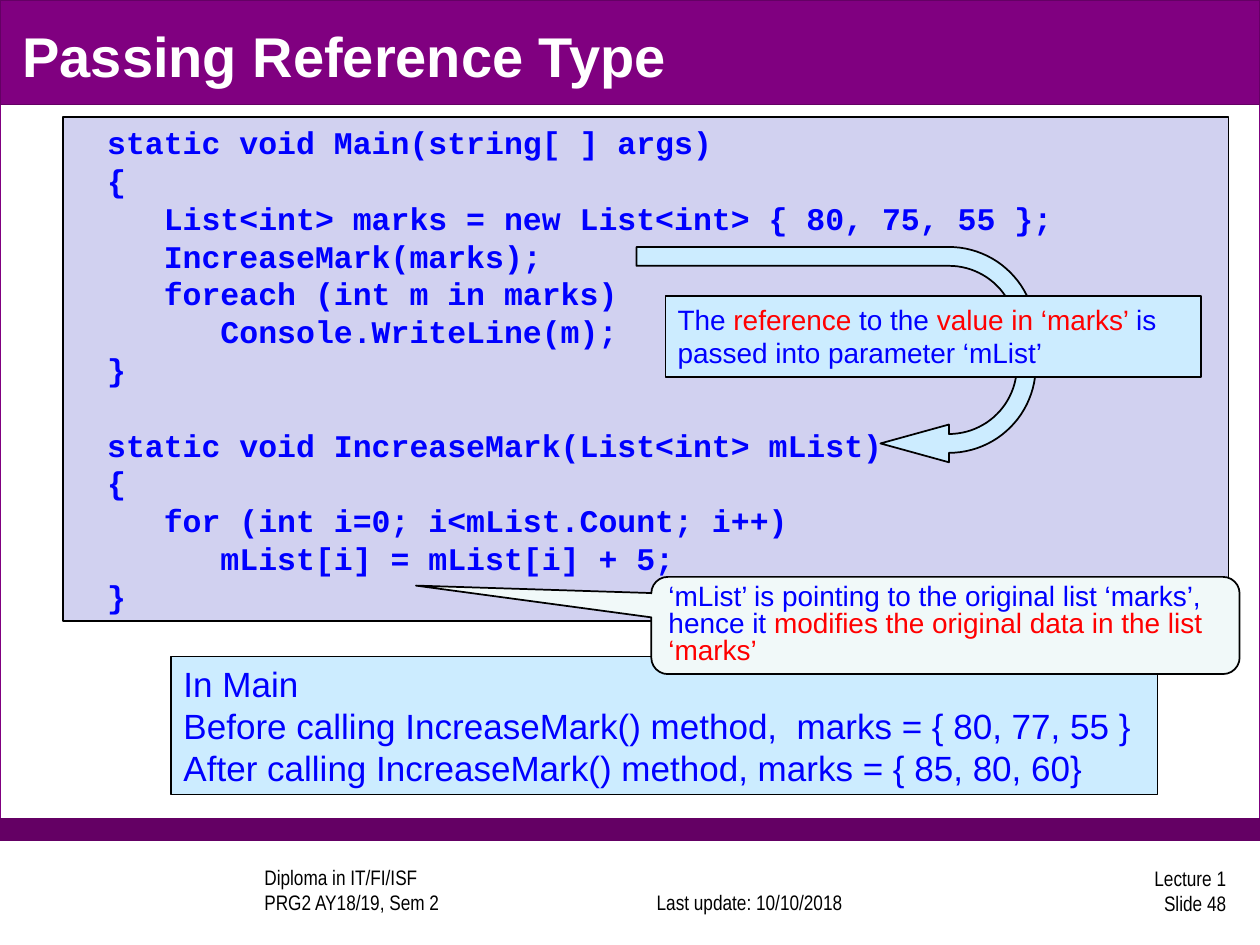
from math import cos, radians, sin

from pptx import Presentation
from pptx.dml.color import RGBColor
from pptx.enum.shapes import MSO_SHAPE
from pptx.enum.text import MSO_ANCHOR, MSO_AUTO_SIZE, PP_ALIGN
from pptx.util import Cm, Pt

WHITE = RGBColor(0xFF, 0xFF, 0xFF)
BLACK = RGBColor(0, 0, 0)
BLUE = RGBColor(0, 0, 0xFF)
RED = RGBColor(0xFF, 0, 0)
PURPLE = RGBColor(0x80, 0, 0x80)
DARK_PURPLE = RGBColor(0x64, 0, 0x64)
LAVENDER = RGBColor(0xD1, 0xD1, 0xF0)
SKY = RGBColor(0xCC, 0xEC, 0xFF)
MINT = RGBColor(0xF1, 0xF9, 0xF9)

CODE = {"name": "Courier New", "size": Pt(18), "bold": True}
RESULT = {"name": "Arial", "size": Pt(20), "bold": False}
NOTE = {"name": "Arial", "size": Pt(16), "bold": False}
FOOTER = {"name": "Arial Narrow", "size": Pt(12), "bold": False}
TITLE = {"name": "Arial", "size": Pt(32), "bold": True}

MAIN_METHOD = """static void Main(string[ ] args)
{
   List<int> marks = new List<int> { 80, 75, 55 };
   IncreaseMark(marks);
   foreach (int m in marks)
      Console.WriteLine(m);
}"""
INCREASE_METHOD = """static void IncreaseMark(List<int> mList)
{
   for (int i=0; i<mList.Count; i++)
      mList[i] = mList[i] + 5;
}"""


def plain(text, color):
    return [[(line, color)] for line in text.splitlines()]


def arc(center_x, center_y, radius, start, end, steps=24):
    angles = [radians(start + (end - start) * i / steps) for i in range(steps + 1)]
    return [(center_x + radius * cos(a), center_y + radius * sin(a)) for a in angles]


class LectureSlide:
    def __init__(self, slide):
        self.slide = slide
        self.line_ratio = 1.2

    def paint(self, shape, fill, outline, width):
        shape.shadow.inherit = False
        shape.fill.solid()
        shape.fill.fore_color.rgb = fill
        shape.line.color.rgb = outline
        shape.line.width = Pt(width)

    def add_text(self, shape, paragraphs, font, ratio=None, align=PP_ALIGN.LEFT, **frame_format):
        frame = shape.text_frame
        settings = {
            "word_wrap": True,
            "auto_size": MSO_AUTO_SIZE.NONE,
            "vertical_anchor": MSO_ANCHOR.TOP,
            **frame_format,
        }
        for name, value in settings.items():
            setattr(frame, name, value)
        spacing = Pt(round(font["size"].pt * (ratio or self.line_ratio), 1))
        for index, runs in enumerate(paragraphs):
            paragraph = frame.add_paragraph() if index else frame.paragraphs[0]
            layout = {"alignment": align, "line_spacing": spacing, "space_before": Pt(0)}
            for name, value in layout.items():
                setattr(paragraph, name, value)
            for text, color in runs:
                run = paragraph.add_run()
                run.text = text
                for name, value in font.items():
                    setattr(run.font, name, value)
                run.font.color.rgb = color
        return frame

    def box(self, place, fill, outline=BLACK, width=0.75, preset=MSO_SHAPE.RECTANGLE):
        shape = self.slide.shapes.add_shape(preset, *map(Cm, place))
        self.paint(shape, fill, outline, width)
        return shape

    def title(self, place, text):
        heading = self.slide.shapes.title
        heading.left, heading.top, heading.width, heading.height = map(Cm, place)
        self.slide.shapes._spTree.append(heading._element)
        self.add_text(heading, plain(text, WHITE), TITLE, vertical_anchor=MSO_ANCHOR.MIDDLE)

    def footer(self, place, text, align, anchor, indent=0.25):
        label = self.slide.shapes.add_textbox(*map(Cm, place))
        self.add_text(label, plain(text, BLACK), FOOTER, align=align,
                      vertical_anchor=anchor, margin_left=Cm(indent))

    def callout(self, place, paragraphs):
        bubble = self.box(place, MINT, width=1, preset=MSO_SHAPE.ROUNDED_RECTANGULAR_CALLOUT)
        for index, value in enumerate((-0.9, -0.41, 0.17)):
            bubble.adjustments[index] = value
        self.add_text(bubble, paragraphs, NOTE, ratio=0.96, vertical_anchor=MSO_ANCHOR.MIDDLE)

    def curved_arrow(self, tail_x, bend_x, upper_y, lower_y, outer, inner, tip):
        tip_x, tip_y = tip
        half_head = 0.38
        outline = [
            (tail_x, upper_y - outer),
            *arc(bend_x, upper_y, outer, -90, 0),
            *arc(bend_x, lower_y, outer, 0, 90),
            (bend_x, tip_y + half_head),
            (tip_x, tip_y),
            (bend_x, tip_y - half_head),
            *arc(bend_x, lower_y, inner, 90, 0),
            *arc(bend_x, upper_y, inner, 0, -90),
            (tail_x, upper_y - inner),
        ]
        points = [(Cm(x), Cm(y)) for x, y in outline]
        builder = self.slide.shapes.build_freeform(*points[0])
        builder.add_line_segments(points[1:], close=True)
        self.paint(builder.convert_to_shape(), SKY, BLACK, 1)


def main():
    deck = Presentation()
    deck.slide_width, deck.slide_height = Cm(25.4), Cm(19.05)
    page = LectureSlide(deck.slides.add_slide(deck.slide_layouts[5]))

    page.box((0, 0, 25.4, 16.94), WHITE, PURPLE)
    page.box((0, 16.51, 25.4, 0.43), DARK_PURPLE, DARK_PURPLE)
    page.box((0, 0, 25.4, 2.11), PURPLE, DARK_PURPLE)
    page.footer((3.81, 17.5, 8.05, 1.07), "Diploma in IT/FI/ISF\nPRG2 AY18/19, Sem 2",
                PP_ALIGN.LEFT, MSO_ANCHOR.BOTTOM, indent=1.52)
    page.footer((12.47, 17.5, 5.28, 1.07), "Last update: 10/10/2018",
                PP_ALIGN.CENTER, MSO_ANCHOR.BOTTOM)
    page.footer((19.69, 17.42, 5.28, 1.07), "Lecture 1\nSlide 48",
                PP_ALIGN.RIGHT, MSO_ANCHOR.MIDDLE)
    page.title((0.2, 0.33, 24.97, 1.57), "Passing Reference Type")

    main_lines = plain(MAIN_METHOD, BLUE)
    listing = page.add_text(page.box((1.27, 2.36, 23.5, 10.16), LAVENDER),
                            main_lines + plain(INCREASE_METHOD, BLUE), CODE,
                            margin_left=Cm(0.89))
    listing.paragraphs[len(main_lines)].space_before = Pt(21.6)

    output = """In Main
Before calling IncreaseMark() method,  marks = { 80, 77, 55 }
After calling IncreaseMark() method, marks = { 85, 80, 60}"""
    page.add_text(page.box((3.45, 13.23, 19.89, 2.79), SKY), plain(output, BLUE), RESULT)

    page.callout((13.13, 11.63, 11.86, 1.96), [[
        ("‘mList’ is pointing to the original list ‘marks’, hence it ", BLUE),
        ("modifies the original data in the list ‘marks’", RED),
    ]])
    page.curved_arrow(12.83, 19.13, 6.73, 7.38, 1.75, 1.37, (17.75, 8.94))
    page.add_text(page.box((13.41, 5.97, 10.8, 1.63), SKY), [[
        ("The ", BLUE),
        ("reference", RED),
        (" to the ", BLUE),
        ("value in ‘marks’ ", RED),
        ("is passed into parameter ‘mList’", BLUE),
    ]], NOTE)

    deck.save("out.pptx")


if __name__ == "__main__":
    main()
